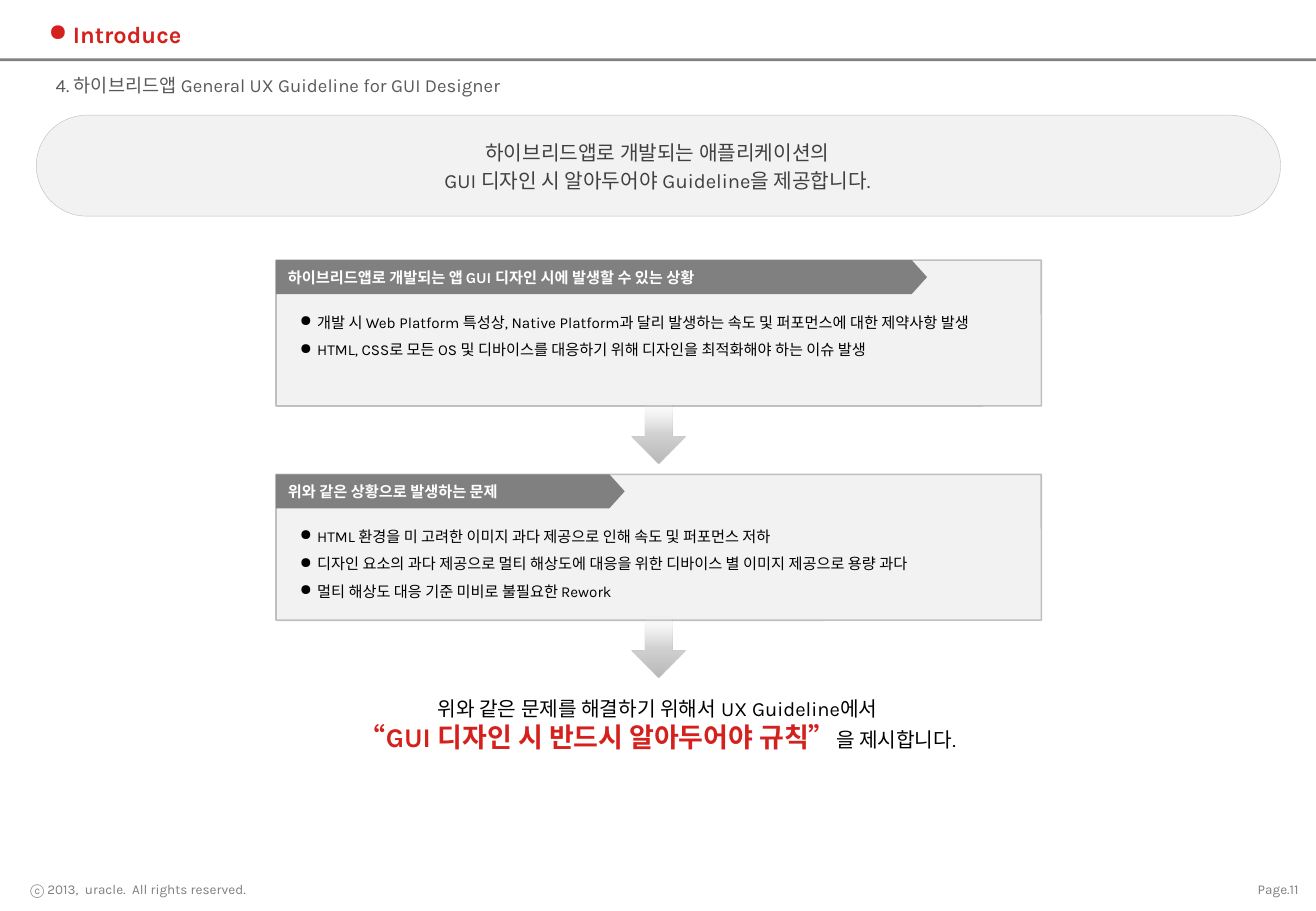
from lxml.etree import SubElement
from pptx import Presentation
from pptx.dml.color import RGBColor
from pptx.enum.shapes import MSO_SHAPE as Shape
from pptx.enum.text import MSO_ANCHOR as Anchor, MSO_AUTO_SIZE as AutoSize, PP_ALIGN as Align
from pptx.oxml.ns import qn
from pptx.util import Cm, Pt

FONT = "Karla"
RED, GRAY, PALE, BORDER = "D5211D", "808080", "F2F2F2", "BFBFBF"
BLACK, WHITE = "000000", "FFFFFF"
PANEL_LEFT, PANEL_WIDTH, PANEL_HEIGHT = 5.77, 16, 3.05
ARROW_STOPS = [(0, "B8B8B8", 100), (50, "D3D3D3", 100), (100, "E9E9E9", 0)]
PANELS = [
    (5.44, 13.61, "하이브리드앱로 개발되는 앱 GUI 디자인 시에 발생할 수 있는 상황", [
        "개발 시 Web Platform 특성상, Native Platform과 달리 발생하는 속도 및 퍼포먼스에 대한 제약사항 발생",
        "HTML, CSS로 모든 OS 및 디바이스를 대응하기 위해 디자인을 최적화해야 하는 이슈 발생",
    ]),
    (9.92, 7.29, "위와 같은 상황으로 발생하는 문제", [
        "HTML 환경을 미 고려한 이미지 과다 제공으로 인해 속도 및 퍼포먼스 저하",
        "디자인 요소의 과다 제공으로 멀티 해상도에 대응을 위한 디바이스 별 이미지 제공으로 용량 과다",
        "멀티 해상도 대응 기준 미비로 불필요한 Rework",
    ]),
]


def color(value):
    return RGBColor.from_string(value)


def style_font(font, size, tint, bold=False):
    font.name = FONT
    font.size = Pt(size)
    font.bold = bold
    font.color.rgb = color(tint)


def set_bullet(paragraph, mark, indent):
    properties = paragraph._p.get_or_add_pPr()
    properties.set("marL", str(Cm(indent)))
    properties.set("indent", str(-Cm(indent)))
    if mark:
        SubElement(properties, qn("a:buChar"), char=mark)
    else:
        SubElement(properties, qn("a:buNone"))


def write(holder, lines, size, tint, bold=False, align=Align.LEFT, anchor=Anchor.TOP,
          mark=None, indent=0, gap=0, spacing=1):
    frame = holder.text_frame
    frame.word_wrap = True
    frame.auto_size = AutoSize.NONE
    frame.vertical_anchor = anchor
    frame.text = "\n".join(lines)
    for number, paragraph in enumerate(frame.paragraphs):
        set_bullet(paragraph, mark, indent)
        paragraph.alignment = align
        paragraph.line_spacing = spacing
        paragraph.space_before = Pt(gap if number else 0)
        style_font(paragraph.font, size, tint, bold)


def place(holder, left, top, width, height):
    holder.left, holder.top = Cm(left), Cm(top)
    holder.width, holder.height = Cm(width), Cm(height)
    return holder


def add_block(shapes, kind, box, fill, line=None, line_width=1, adjustments=()):
    block = shapes.add_shape(kind, *map(Cm, box))
    block.shadow.inherit = False
    block.fill.solid()
    block.fill.fore_color.rgb = color(fill)
    if line:
        block.line.color.rgb = color(line)
        block.line.width = Pt(line_width)
    else:
        block.line.fill.background()
    for index, value in enumerate(adjustments):
        block.adjustments[index] = value
    return block


def add_text(shapes, box, lines, size, tint, **options):
    holder = shapes.add_textbox(*map(Cm, box))
    write(holder, lines, size, tint, **options)
    return holder


def add_panel(slide, top, heading_width, heading, issues):
    shapes = slide.shapes.add_group_shape().shapes
    add_block(shapes, Shape.ROUNDED_RECTANGLE, (PANEL_LEFT, top, PANEL_WIDTH, PANEL_HEIGHT),
              PALE, BORDER, adjustments=[0.005])
    issue_list = add_text(shapes, (PANEL_LEFT, top + 0.79, PANEL_WIDTH + 0.1, 1.98), issues,
                          9, BLACK, mark="●", indent=0.36, spacing=1.5)
    issue_list.text_frame.margin_left = issue_list.text_frame.margin_right = Cm(0.5)
    tab = add_block(shapes, Shape.RIGHT_ARROW, (PANEL_LEFT, top, heading_width, 0.71),
                    GRAY, adjustments=[1, 0.45])
    write(tab, [heading], 9, WHITE, bold=True, anchor=Anchor.MIDDLE)


def add_flow_arrow(slide, top):
    length, breadth = 1.27, 1.14
    left = PANEL_LEFT + (PANEL_WIDTH - length) / 2
    arrow = add_block(slide.shapes, Shape.RIGHT_ARROW, (left, top, length, breadth), BORDER)
    arrow.rotation = 90
    arrow.fill.gradient()
    arrow.fill.gradient_angle = 180
    stops = arrow.element.spPr.find(".//" + qn("a:gsLst"))
    for stop in list(stops):
        stops.remove(stop)
    for position, tint, opacity in ARROW_STOPS:
        stop = SubElement(stops, qn("a:gs"), pos=str(position * 1000))
        shade = SubElement(stop, qn("a:srgbClr"), val=tint)
        SubElement(shade, qn("a:alpha"), val=str(opacity * 1000))


def add_conclusion(slide):
    holder = slide.shapes.add_textbox(Cm(1.35), Cm(14.43), Cm(24.79), Cm(1.45))
    holder.text_frame.word_wrap = True
    paragraph = holder.text_frame.paragraphs[0]
    paragraph.alignment = Align.CENTER

    def say(text, size, tint, bold=False):
        run = paragraph.add_run()
        run.text = text
        style_font(run.font, size, tint, bold)

    say("위와 같은 문제를 해결하기 위해서 UX Guideline에서", 12, BLACK)
    paragraph.add_line_break()
    say("“GUI 디자인 시 반드시 알아두어야 규칙”", 16, RED, True)
    say("을 제시합니다.", 12, BLACK)


def add_frame(slide):
    rule = add_block(slide.shapes, Shape.RECTANGLE, (0, 1.22, 27.51, 0.06), GRAY)
    banner = add_block(slide.shapes, Shape.ROUNDED_RECTANGLE, (0.76, 2.41, 26.01, 2.11),
                       PALE, BORDER, 0.25, [0.5])
    for backdrop in (rule, banner):
        slide.shapes.title.element.addprevious(backdrop.element)
    for left, width, text in [(25.5, 1.9, "Page.11"),
                              (0.15, 5.25, "ⓒ 2013,  uracle.  All rights reserved.")]:
        add_text(slide.shapes, (left, 18.31, width, 0.56), [text], 8, GRAY,
                 align=Align.RIGHT, anchor=Anchor.MIDDLE)


def main():
    deck = Presentation()
    deck.slide_width, deck.slide_height = Cm(27.51), Cm(19.05)
    slide = deck.slides.add_slide(deck.slide_layouts[3])
    title, subtitle, summary = slide.placeholders
    add_frame(slide)
    write(place(title, 0.76, 0.2, 26.24, 1.04), ["Introduce"], 14, RED, bold=True,
          anchor=Anchor.MIDDLE, mark="●", indent=0.51)
    write(place(subtitle, 0.91, 1.42, 25.76, 0.71),
          ["4. 하이브리드앱 General UX Guideline for GUI Designer"], 11, "595959")
    write(place(summary, 1.3, 2.69, 24.89, 1.57),
          ["하이브리드앱로 개발되는 애플리케이션의",
           "GUI 디자인 시 알아두어야 Guideline을 제공합니다."],
          12, "404040", align=Align.CENTER, anchor=Anchor.MIDDLE, gap=2.4)
    for top, heading_width, heading, issues in PANELS:
        add_panel(slide, top, heading_width, heading, issues)
        add_flow_arrow(slide, top + PANEL_HEIGHT)
    add_conclusion(slide)
    deck.save("out.pptx")


if __name__ == "__main__":
    main()
